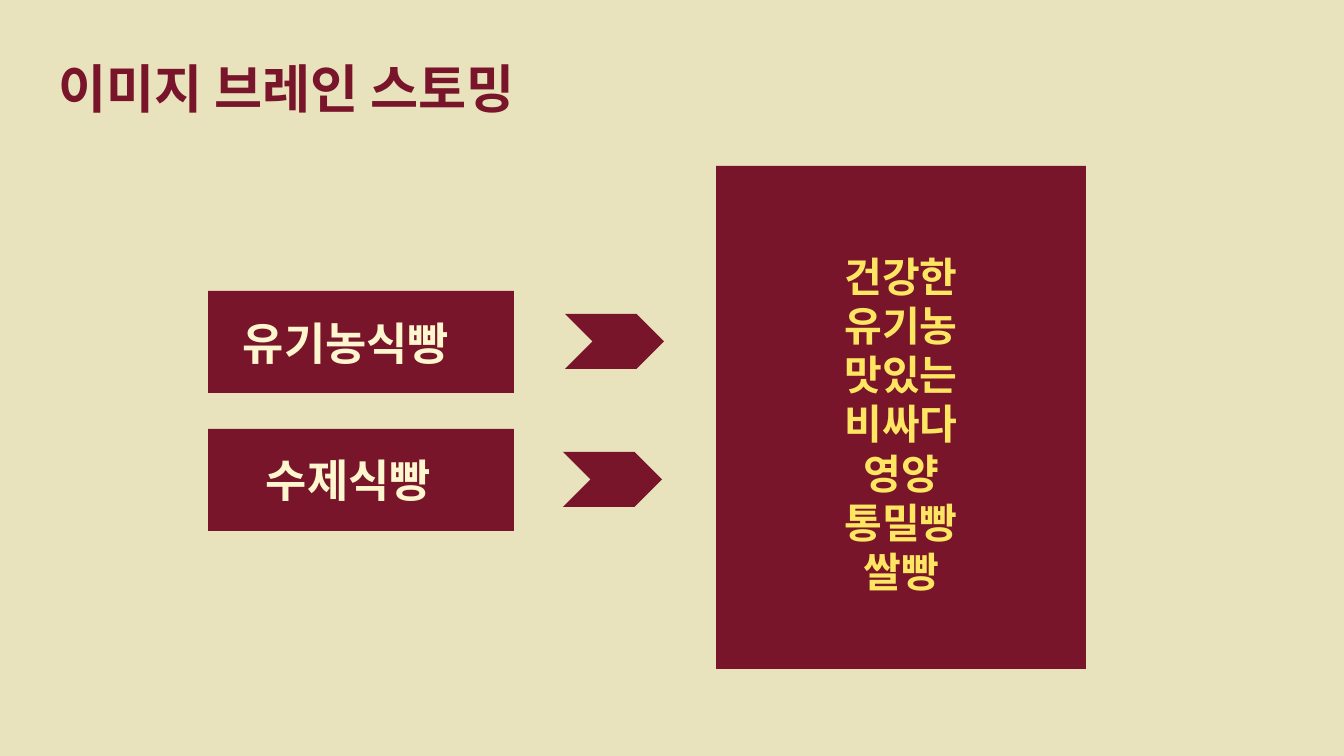
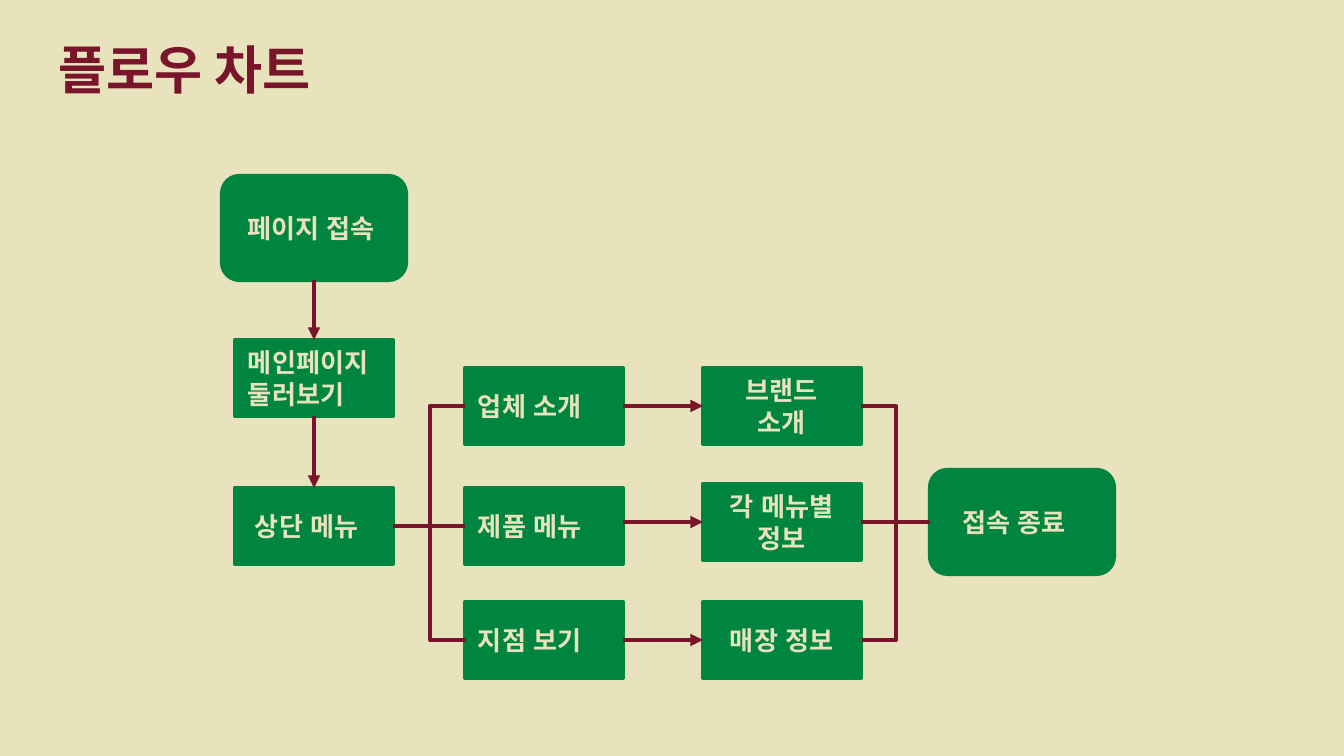
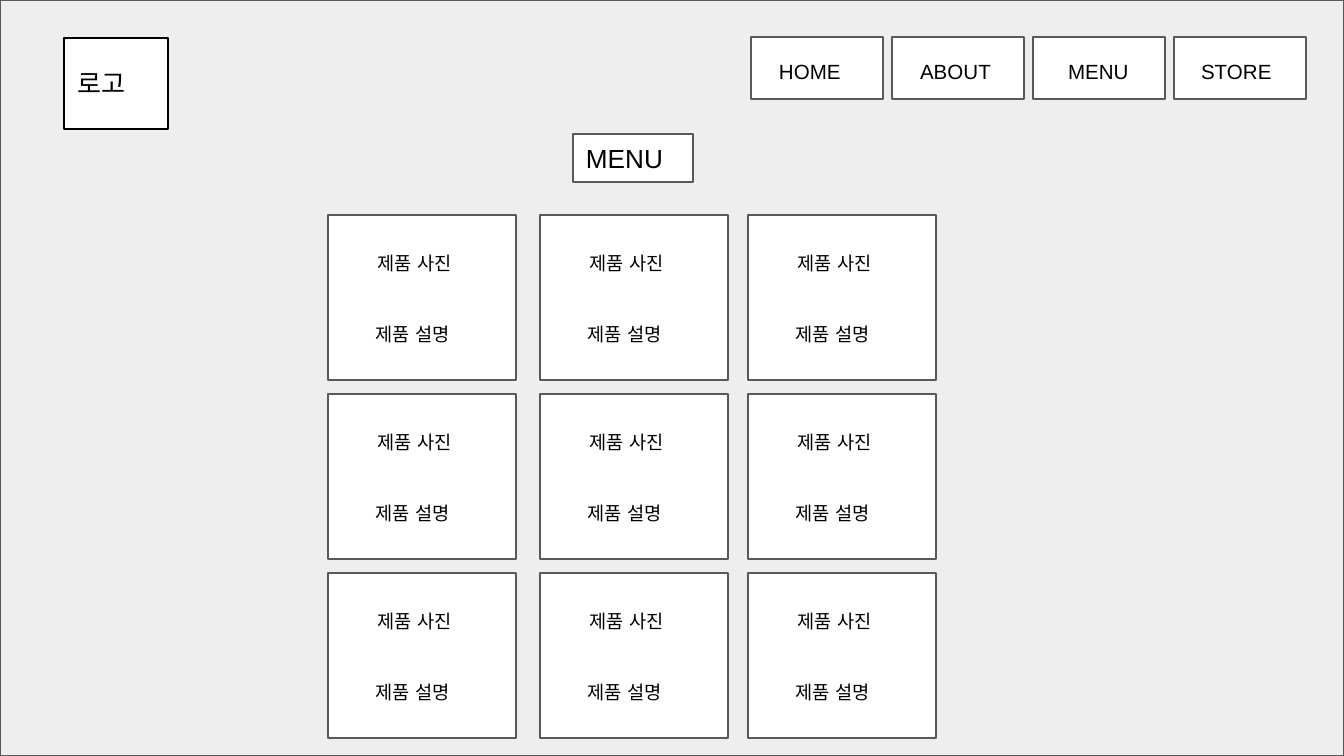
from lxml.etree import SubElement
from pptx import Presentation
from pptx.dml.color import RGBColor
from pptx.enum.shapes import MSO_CONNECTOR, MSO_SHAPE
from pptx.enum.text import MSO_ANCHOR, PP_ALIGN
from pptx.oxml.ns import qn
from pptx.util import Pt

COLORS = {
    "cream": "E8E3BD", "wine": "78152A", "yellow": "FEE662", "ivory": "FEF6CF",
    "green": "008540", "white": "FFFFFF", "black": "000000",
    "gray": "595959", "light": "EEEEEE",
}
SCALE = 914400 / 134.4
SIZE = (1344, 756)
INSET = 13
TOP, LEFT, BOTTOM, RIGHT = range(4)

KEYWORDS = ["건강한", "유기농", "맛있는", "비싸다", "영양", "통밀빵", "쌀빵"]
KEYWORD_BOX = (716, 166, 370, 503)
BREADS = [
    ("유기농식빵", (208, 291), (230, 303, 305, 102), (565, 314)),
    ("수제식빵", (208, 429), (253, 440, 238, 113), (563, 452)),
]
BREAD_SIZE = (306, 102)
CHEVRON_SIZE = (99, 55)

STEP_SIZE = (158, 76)
TERMINAL_SIZE = (184, 104)
TERMINALS = {
    "start": ("페이지 접속", (222, 176), 20),
    "end": ("접속 종료", (930, 470), 27),
}
STEPS = {
    "main": ("메인페이지\n둘러보기", (235, 340), INSET, "left"),
    "top": ("상단 메뉴", (235, 488), 20, "left"),
    "about": ("업체 소개", (465, 368), INSET, "left"),
    "products": ("제품 메뉴", (465, 488), INSET, "left"),
    "branches": ("지점 보기", (465, 602), INSET, "left"),
    "brand": ("브랜드\n소개", (703, 368), INSET, "center"),
    "details": ("각 메뉴별 정보", (703, 484), INSET, "center"),
    "stores": ("매장 정보", (703, 602), INSET, "center"),
}
JOINS = [
    ("start", BOTTOM, "main", TOP, True),
    ("main", BOTTOM, "top", TOP, True),
    ("top", RIGHT, "products", LEFT, False),
    ("about", RIGHT, "brand", LEFT, True),
    ("branches", RIGHT, "stores", LEFT, True),
    ("details", RIGHT, "end", LEFT, False),
]
BRACKETS = [(465, -35), (861, 35)]
BRACKET_SPAN = (406, 640)

NAV = [("HOME", 15), ("ABOUT", 15), ("MENU", 22), ("STORE", 14)]
NAV_START, NAV_STEP = (751, 37), 141
NAV_SIZE = (132, 62)
CARD_COLUMNS = [328, 540, 748]
CARD_ROWS = [215 + 179 * i for i in range(3)]
CARD_SIZE = (188, 165)
CARD_LABELS = [("제품 사진", 37, 26, 113), ("제품 설명", 35, 97, 120)]

ALIGN = {"left": PP_ALIGN.LEFT, "center": PP_ALIGN.CENTER}


def px(*values):
    return [round(v * SCALE) for v in values]


def rgb(name):
    return RGBColor.from_string(COLORS[name])


def add_slide(prs, bg):
    s = prs.slides.add_slide(prs.slide_layouts[6])
    s.background.fill.solid()
    s.background.fill.fore_color.rgb = rgb(bg)
    return s


def write(sp, text, size=14, font="Arial", color="black", bold=False,
          align="left", anchor=MSO_ANCHOR.MIDDLE, left=INSET, top=INSET):
    tf = sp.text_frame
    tf.word_wrap = True
    tf.vertical_anchor = anchor
    tf.margin_left, tf.margin_top, tf.margin_right, tf.margin_bottom = px(
        left, top, INSET, INSET)
    for i, line in enumerate(text.split("\n")):
        p = tf.paragraphs[0] if i == 0 else tf.add_paragraph()
        p.alignment = ALIGN[align]
        r = p.add_run()
        r.text = line
        r.font.size = Pt(size)
        r.font.bold = bold
        r.font.color.rgb = rgb(color)
        r.font.name = font
        SubElement(r.font._element, qn("a:ea"), typeface=font)


def label(s, text, box, **fmt):
    write(s.shapes.add_textbox(*px(*box)), text, anchor=MSO_ANCHOR.TOP, **fmt)


def title(s, text, y):
    label(s, text, (46, y, 1252, 88), size=28, font="Arial Narrow",
          color="wine", bold=True)


def shape(s, kind, box, fill, line=None, width=0.75):
    sp = s.shapes.add_shape(kind, *px(*box))
    sp.shadow.inherit = False
    sp.fill.solid()
    sp.fill.fore_color.rgb = rgb(fill)
    if line:
        sp.line.color.rgb = rgb(line)
        sp.line.width = Pt(width)
    else:
        sp.line.fill.background()
    return sp


def connector(s, kind, points, arrow=False):
    c = s.shapes.add_connector(kind, *px(*points))
    c.line.color.rgb = rgb("wine")
    c.line.width = Pt(2.25)
    if arrow:
        SubElement(c.line._get_or_add_ln(), qn("a:tailEnd"), type="triangle")
    SubElement(c._element.spPr, qn("a:effectLst"))
    return c


def bracket(s, x, reach):
    y1, y2 = BRACKET_SPAN
    c = connector(s, MSO_CONNECTOR.ELBOW, (x, y1, x + 1, y2))
    guides = c._element.spPr.find(qn("a:prstGeom")).get_or_add_avLst()
    SubElement(guides, qn("a:gd"), name="adj1", fmla=f"val {reach * 100000}")


def brainstorm(prs):
    s = add_slide(prs, "cream")
    title(s, "이미지 브레인 스토밍", 43)
    sp = shape(s, MSO_SHAPE.RECTANGLE, KEYWORD_BOX, "wine")
    write(sp, "\n".join(KEYWORDS), size=22, font="Arial Narrow",
          color="yellow", bold=True, align="center", top=INSET + 12)
    for text, at, text_box, chevron_at in BREADS:
        shape(s, MSO_SHAPE.RECTANGLE, at + BREAD_SIZE, "wine")
        label(s, text, text_box, size=24, font="Arial Narrow",
              color="ivory", bold=True)
        shape(s, MSO_SHAPE.CHEVRON, chevron_at + CHEVRON_SIZE, "wine")


def flow_chart(prs):
    s = add_slide(prs, "cream")
    title(s, "플로우 차트", 24)
    nodes = {}

    def node(key, kind, box, text, left, align="left"):
        nodes[key] = shape(s, kind, box, "green", "green", 2.25)
        write(nodes[key], text, color="cream", bold=True, align=align, left=left)

    for key, (text, at, left) in TERMINALS.items():
        node(key, MSO_SHAPE.FLOWCHART_ALTERNATE_PROCESS, at + TERMINAL_SIZE,
             text, left)
    for key, (text, at, left, align) in STEPS.items():
        node(key, MSO_SHAPE.FLOWCHART_PROCESS, at + STEP_SIZE, text, left, align)
    for begin, begin_side, end, end_side, arrow in JOINS:
        c = connector(s, MSO_CONNECTOR.STRAIGHT, (0, 0, 0, 0), arrow)
        c.begin_connect(nodes[begin], begin_side)
        c.end_connect(nodes[end], end_side)
    c = connector(s, MSO_CONNECTOR.STRAIGHT, (623, 522, 703, 522), True)
    c.end_connect(nodes["details"], LEFT)
    for x, reach in BRACKETS:
        bracket(s, x, reach)


def wireframe(prs):
    s = add_slide(prs, "white")
    shape(s, MSO_SHAPE.FLOWCHART_PROCESS, (0, 0) + SIZE, "light", "gray")
    x, y = NAV_START
    for i, (text, dx) in enumerate(NAV):
        left = x + i * NAV_STEP
        shape(s, MSO_SHAPE.RECTANGLE, (left, y) + NAV_SIZE, "white", "gray")
        label(s, text, (left + dx, y + 10, 103, 44), size=11)
    for text, box, line in [("로고", (64, 38, 104, 91), "black"),
                            ("MENU", (573, 134, 120, 48), "gray")]:
        write(shape(s, MSO_SHAPE.FLOWCHART_PROCESS, box, "white", line), text)
    for top in CARD_ROWS:
        for left in CARD_COLUMNS:
            shape(s, MSO_SHAPE.RECTANGLE, (left, top) + CARD_SIZE, "white", "gray")
            for text, dx, dy, w in CARD_LABELS:
                label(s, text, (left + dx, top + dy, w, 50), size=10)


def main():
    prs = Presentation()
    prs.slide_width, prs.slide_height = px(*SIZE)
    brainstorm(prs)
    flow_chart(prs)
    wireframe(prs)
    prs.save("out.pptx")


if __name__ == "__main__":
    main()
